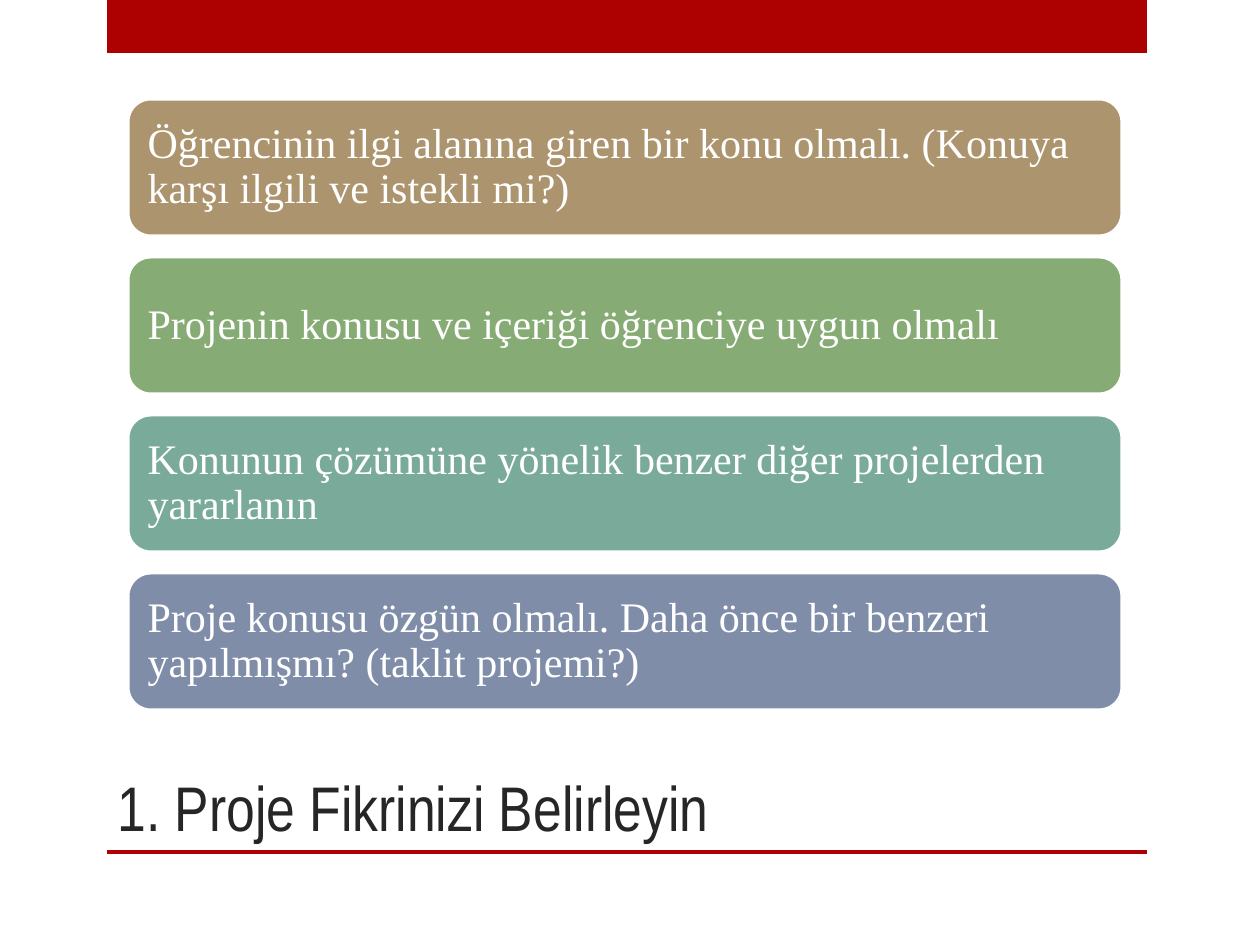
from dataclasses import dataclass

from pptx import Presentation
from pptx import util as u
from pptx.dml.color import RGBColor
from pptx.enum import shapes, text

PX = 914400 // 126


@dataclass(frozen=True)
class Theme:
    """Colours, fonts and type sizes of the slide."""
    red: str = "AD0101"
    ink: str = "262626"
    white: str = "FFFFFF"
    cards: tuple = ("AC956E", "87AB74", "7AAA9A", "808DA9")
    head: str = "Arial Narrow"
    body: str = "Times New Roman"
    big: int = 36
    mid: int = 24


THEME = Theme()
TITLE = "1. Proje Fikrinizi Belirleyin"
POINTS = (
    "Öğrencinin ilgi alanına giren bir konu olmalı. (Konuya karşı ilgili ve istekli mi?)",
    "Projenin konusu ve içeriği öğrenciye uygun olmalı",
    "Konunun çözümüne yönelik benzer diğer projelerden yararlanın",
    "Proje konusu özgün olmalı. Daha önce bir benzeri yapılmışmı? (taklit projemi?)",
)


def emu(*px):
    """Turn px lengths into EMU."""
    return [u.Emu(n * PX) for n in px]


def block(slide, kind, box, fill):
    """Add a flat filled shape without outline."""
    shape = slide.shapes.add_shape(kind, *emu(*box))
    shape.shadow.inherit = False
    shape.fill.solid()
    shape.fill.fore_color.rgb = RGBColor.from_string(fill)
    shape.line.fill.background()
    return shape


def write(shape, words, face, size, color, anchor):
    """Set left-aligned wrapped text in a shape."""
    frame = shape.text_frame
    frame.text = words
    frame.word_wrap = True
    frame.vertical_anchor = anchor
    para = frame.paragraphs[0]
    para.alignment = text.PP_ALIGN.LEFT
    font = para.runs[0].font
    font.name, font.size = face, u.Pt(size)
    font.color.rgb = RGBColor.from_string(color)
    return frame


def frame_bars(slide, box):
    """Draw the top band and the bottom rule of the box."""
    left, top, width, height = box
    rule = 4
    for y, tall in ((top, 53), (top + height - rule, rule)):
        block(slide, shapes.MSO_SHAPE.RECTANGLE, (left, y, width, tall), THEME.red)


def title(slide, box):
    """Place the title at the bottom of the box."""
    shape = slide.shapes.add_textbox(*emu(*box))
    write(shape, TITLE, THEME.head, THEME.big, THEME.ink, text.MSO_ANCHOR.BOTTOM)


def cards(slide, box, gap):
    """Stack the rounded cards evenly in the box."""
    left, top, width, height = box
    tall = (height + gap) // len(POINTS) - gap
    for i, (words, fill) in enumerate(zip(POINTS, THEME.cards)):
        place = (left, top + i * (tall + gap), width, tall)
        card = block(slide, shapes.MSO_SHAPE.ROUNDED_RECTANGLE, place, fill)
        card.line.color.rgb = RGBColor.from_string(THEME.white)
        card.line.width = u.Pt(1.75)
        frame = write(card, words, THEME.body, THEME.mid, THEME.white,
                      text.MSO_ANCHOR.MIDDLE)
        frame.margin_left, frame.margin_right = emu(13, 13)
        frame.margin_top, frame.margin_bottom = emu(13, 13)
        frame.paragraphs[0].line_spacing = 0.9


def main():
    """Build and save the slide."""
    deck = Presentation()
    deck.slide_width, deck.slide_height = emu(1260, 945)
    slide = deck.slides.add_slide(deck.slide_layouts[6])
    frame_bars(slide, (107, 0, 1040, 854))
    title(slide, (105, 630, 935, 220))
    cards(slide, (128, 99, 994, 611), 21)
    deck.save("out.pptx")


if __name__ == "__main__":
    main()
